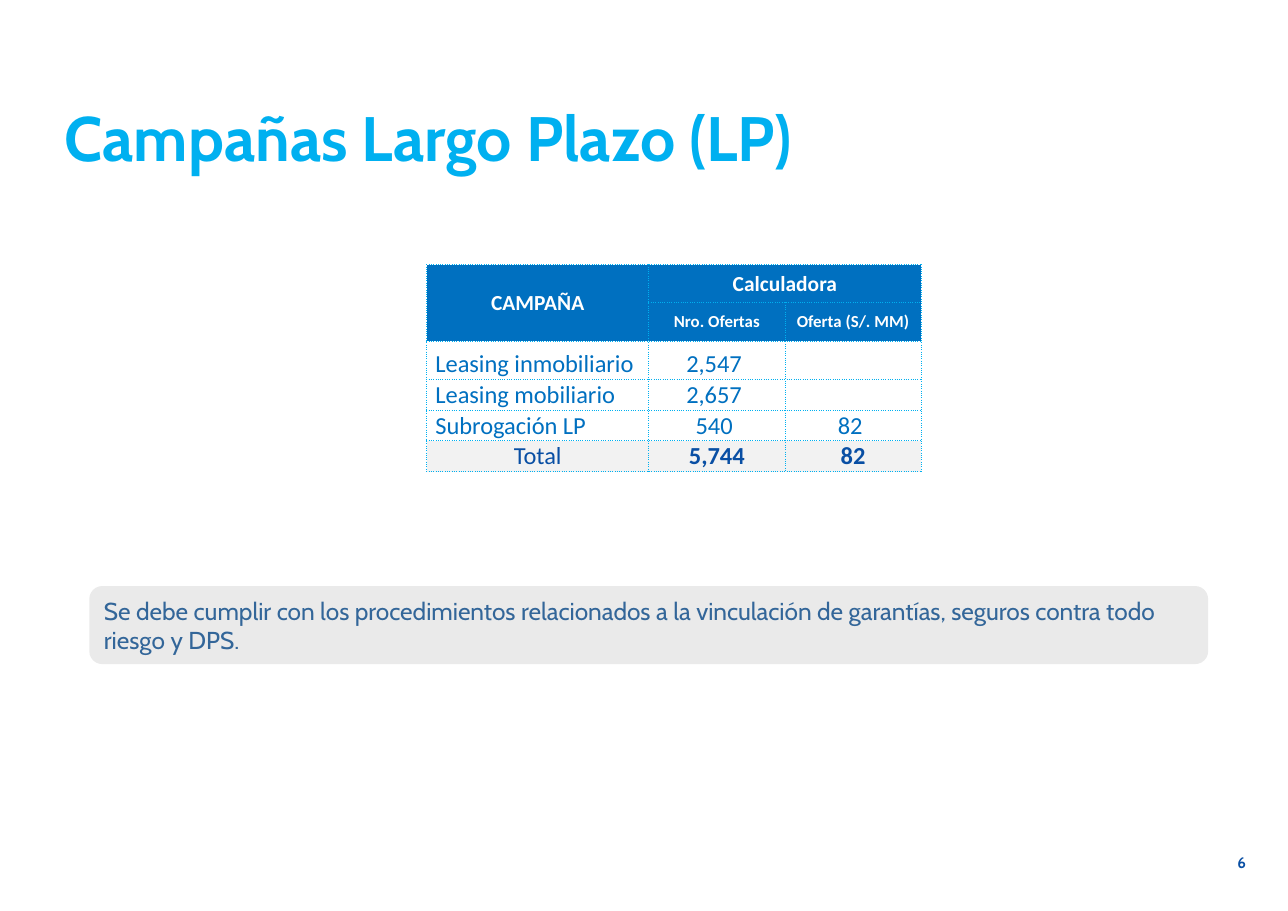
from lxml.etree import SubElement
from pptx import Presentation
from pptx.dml.color import RGBColor
from pptx.enum.shapes import MSO_SHAPE
from pptx.enum.text import MSO_ANCHOR, PP_ALIGN
from pptx.oxml.ns import qn
from pptx.util import Cm, Pt

# Colours
SKY = RGBColor(0x00, 0xB0, 0xF0)
BLUE = RGBColor(0x00, 0x70, 0xC0)
NAVY = RGBColor(0x09, 0x4F, 0xA4)
STEEL = RGBColor(0x33, 0x66, 0x99)
WHITE = RGBColor(0xFF, 0xFF, 0xFF)
PALE = RGBColor(0xF2, 0xF2, 0xF2)
GREY = RGBColor(0xEA, 0xEA, 0xEA)

# Content
TITLE = "Campañas Largo Plazo (LP)"
NOTE = ("Se debe cumplir con los procedimientos relacionados a la vinculación "
        "de garantías, seguros contra todo riesgo y DPS.")
PAGE_NUMBER = "6"
ROWS = [
    ("CAMPAÑA", "Calculadora", ""),
    ("", "Nro. Ofertas", "Oferta (S/. MM)"),
    ("Leasing inmobiliario", "2,547 ", ""),
    ("Leasing mobiliario", "2,657 ", ""),
    ("Subrogación LP", "540 ", "82 "),
    ("Total", "5,744", "82"),
]
MERGES = [((0, 0), (1, 0)), ((0, 1), (0, 2))]
COLUMN_WIDTHS = [5.12, 3.14, 3.14]
ROW_HEIGHTS = [0.88] * 3 + [0.71] * 3
HEADER_ROWS = 2
TOTAL_ROW = len(ROWS) - 1

# Text formats
TITLE_FORMAT = {"name": "Cabin", "size": Pt(41), "bold": True}
NOTE_FORMAT = {"name": "Cabin", "size": Pt(16), "bold": False}
NUMBER_FORMAT = {"name": "Cabin", "size": Pt(10), "bold": True}
HEADER_FORMAT = {"name": "Calibri", "size": Pt(14), "bold": True}
SUBHEADER_FORMAT = {**HEADER_FORMAT, "size": Pt(11)}
BODY_FORMAT = {"name": "Calibri", "size": Pt(16), "bold": False}
TOTAL_FORMAT = {**BODY_FORMAT, "bold": True}


def write(frame, text, values, color, align=PP_ALIGN.LEFT):
    para = frame.paragraphs[0]
    para.alignment = align
    if not text:
        SubElement(para._p, qn("a:endParaRPr"), sz=str(int(values["size"].pt * 100)))
        return
    span = para.add_run()
    span.text = text
    for name, value in values.items():
        setattr(span.font, name, value)
    span.font.color.rgb = color


def set_margins(target, margin):
    for side in ("left", "top", "right", "bottom"):
        setattr(target, f"margin_{side}", margin)


def add_borders(cell):
    properties = cell._tc.get_or_add_tcPr()
    for side in ("lnL", "lnR", "lnT", "lnB"):
        line = SubElement(properties, qn(f"a:{side}"), w=str(Pt(0.5)))
        fill = SubElement(line, qn("a:solidFill"))
        SubElement(fill, qn("a:srgbClr"), val=str(SKY))
        SubElement(line, qn("a:prstDash"), val="sysDot")


def cell_style(row, column):
    """Return format, text colour and fill of a cell."""
    if row < HEADER_ROWS:
        return (SUBHEADER_FORMAT if row else HEADER_FORMAT), WHITE, BLUE
    if row == TOTAL_ROW:
        return (TOTAL_FORMAT if column else BODY_FORMAT), NAVY, PALE
    return BODY_FORMAT, BLUE, None


def add_campaign_table(page):
    table = page.shapes.add_table(
        len(ROWS), len(COLUMN_WIDTHS), Cm(9.84), Cm(6.1),
        Cm(sum(COLUMN_WIDTHS)), Cm(sum(ROW_HEIGHTS))).table
    for column, width in zip(table.columns, COLUMN_WIDTHS):
        column.width = Cm(width)
    for row, height in zip(table.rows, ROW_HEIGHTS):
        row.height = Cm(height)

    for r, texts in enumerate(ROWS):
        for c, text in enumerate(texts):
            cell = table.cell(r, c)
            values, color, fill = cell_style(r, c)
            is_body = HEADER_ROWS <= r < TOTAL_ROW
            is_label = is_body and c == 0
            set_margins(cell, 0)
            if is_label:
                cell.margin_left = Cm(0.2)
            cell.vertical_anchor = MSO_ANCHOR.BOTTOM if is_body else MSO_ANCHOR.MIDDLE
            add_borders(cell)
            if fill is None:
                cell.fill.background()
            else:
                cell.fill.solid()
                cell.fill.fore_color.rgb = fill
            write(cell.text_frame, text, values, color,
                  PP_ALIGN.LEFT if is_label else PP_ALIGN.CENTER)
    for first, last in MERGES:
        table.cell(*first).merge(table.cell(*last))


def main():
    deck = Presentation()
    deck.slide_width, deck.slide_height = Cm(29.7), Cm(21)
    page = deck.slides.add_slide(deck.slide_layouts[6])

    # Page number
    box = page.shapes.add_textbox(Cm(19.33), Cm(19.66), Cm(9.4), Cm(0.6))
    box.text_frame.word_wrap = True
    set_margins(box.text_frame, 0)
    write(box.text_frame, PAGE_NUMBER, NUMBER_FORMAT, NAVY, PP_ALIGN.RIGHT)

    # Title
    box = page.shapes.add_textbox(Cm(1.24), Cm(2.5), Cm(27.25), Cm(1.4))
    box.text_frame.word_wrap = True
    write(box.text_frame, TITLE, TITLE_FORMAT, SKY)
    box.text_frame.paragraphs[0].line_spacing = 0.8

    # Note
    note = page.shapes.add_shape(
        MSO_SHAPE.ROUNDED_RECTANGLE, Cm(2.06), Cm(13.51), Cm(25.8), Cm(1.8))
    note.shadow.inherit = False
    note.fill.solid()
    note.fill.fore_color.rgb = GREY
    note.line.fill.background()
    note.text_frame.word_wrap = True
    note.text_frame.vertical_anchor = MSO_ANCHOR.MIDDLE
    write(note.text_frame, NOTE, NOTE_FORMAT, STEEL)

    # Table
    add_campaign_table(page)

    deck.save("out.pptx")


if __name__ == "__main__":
    main()
